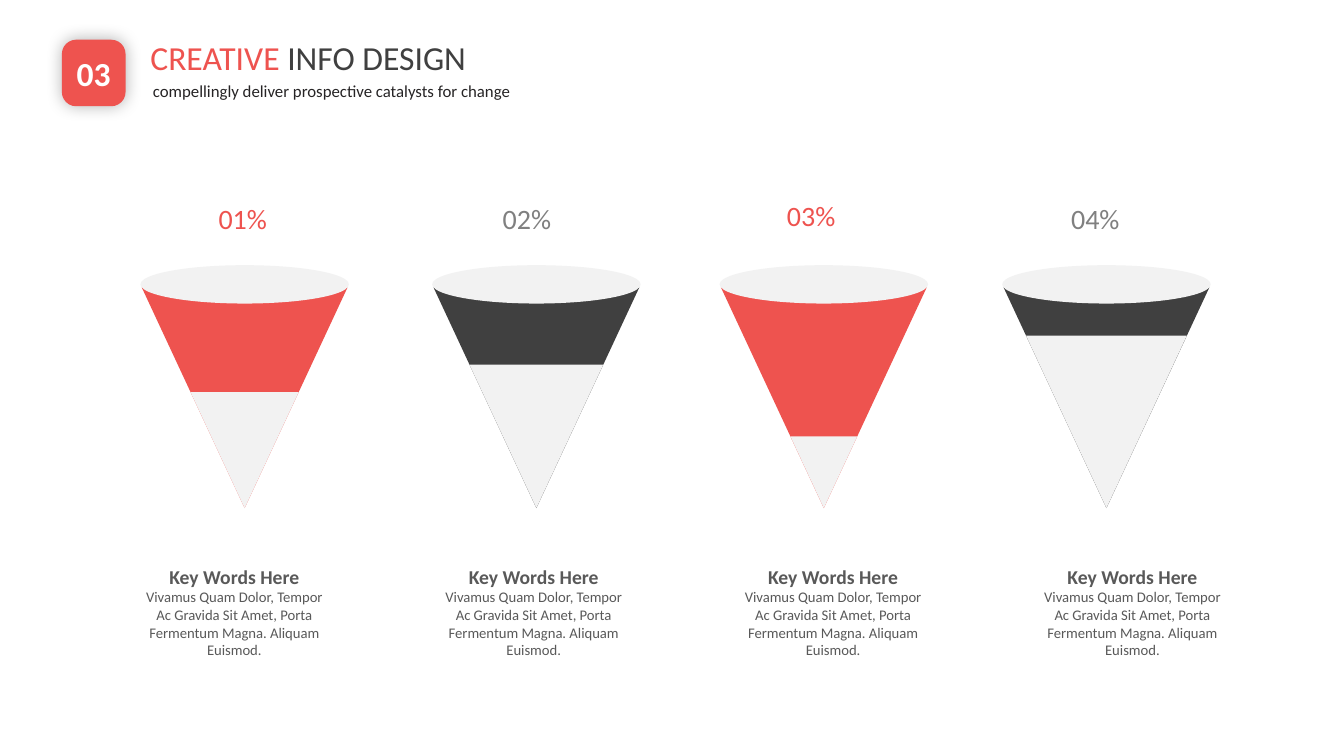
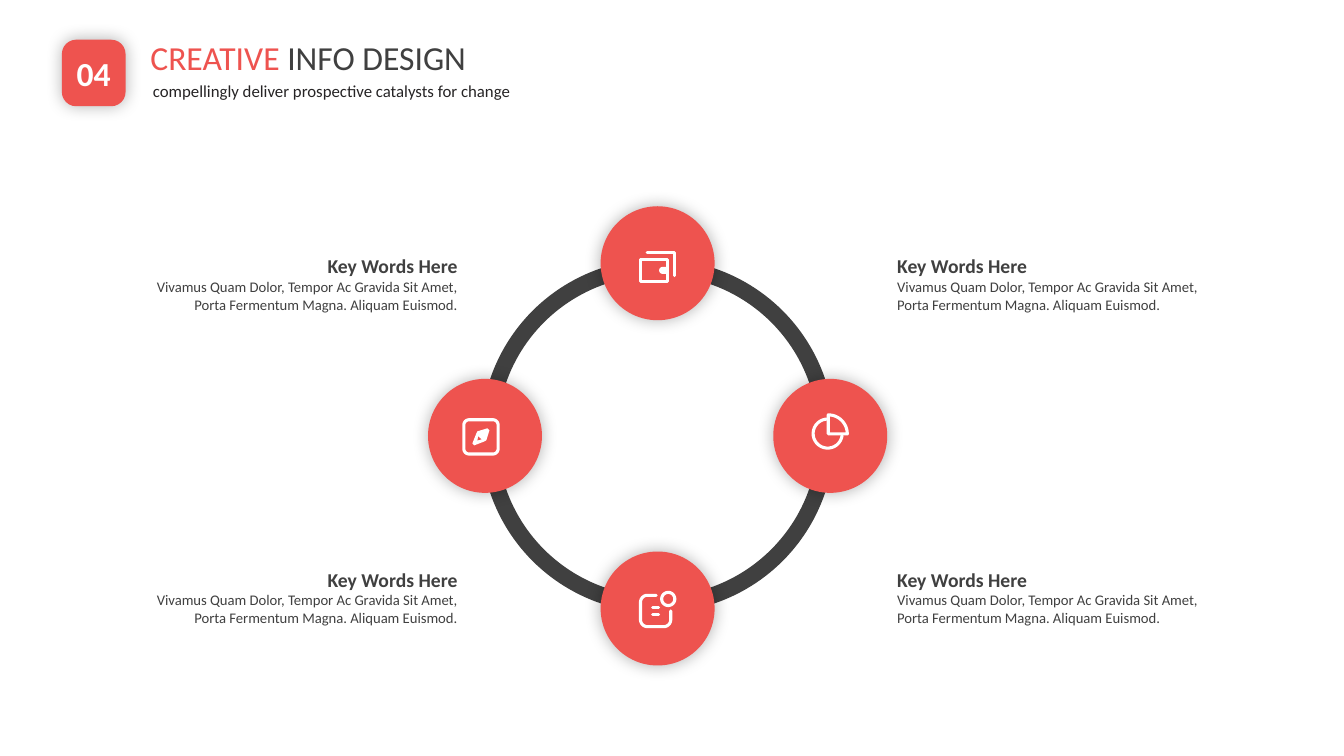
import math
import lxml.etree
import pptx
import pptx.dml.color
import pptx.enum.shapes
import pptx.enum.text
import pptx.oxml.ns
import pptx.util

SHAPE = pptx.enum.shapes.MSO_SHAPE
ALIGN = pptx.enum.text.PP_ALIGN
ANCHOR = pptx.enum.text.MSO_ANCHOR
FIT = pptx.enum.text.MSO_AUTO_SIZE


class Theme:
    """Colours, font and sizes shared by the slides."""
    red, dark, pale, white = "EE534F", "404040", "F2F2F2", "FFFFFF"
    gray, slate, ink = "808080", "595959", "262425"
    font = "Calibri"
    title, share, head, sub, body = 24, 20, 14, 12, 10.5
    stroke, blur = 2.2, 12


HEAD = "Key Words Here"
BODY = "Vivamus Quam Dolor, Tempor Ac Gravida Sit Amet, Porta Fermentum Magna. Aliquam Euismod."


# Shared helpers
def tint(code):
    return pptx.dml.color.RGBColor.from_string(code)


def points(*vals):
    return [pptx.util.Pt(val) for val in vals]


def format_all(item, vals):
    for name, val in vals.items():
        setattr(item, name, val)


def add_run(para, text, size, color, bold=False):
    run = para.add_run()
    run.text = text
    format_all(run.font, {"name": Theme.font, "size": pptx.util.Pt(size), "bold": bold})
    run.font.color.rgb = tint(color)


def add_text(slide, box, lines, align=ALIGN.LEFT, wrap=True):
    """Each line is (text, size, colour, bold, line spacing)."""
    frame = slide.shapes.add_textbox(*points(*box)).text_frame
    format_all(frame, {"word_wrap": wrap, "auto_size": FIT.SHAPE_TO_FIT_TEXT})
    for num, (text, size, color, bold, space) in enumerate(lines):
        para = frame.add_paragraph() if num else frame.paragraphs[0]
        format_all(para, {"alignment": align, "line_spacing": space})
        add_run(para, text, size, color, bold)


def add_caption(slide, box, color, align):
    lines = [(HEAD, Theme.head, color, True, 2.0), (BODY, Theme.body, color, False, 1.0)]
    add_text(slide, box, lines, align)


def paint(shape, color):
    shape.shadow.inherit = False
    shape.fill.solid()
    shape.fill.fore_color.rgb = tint(color)
    shape.line.fill.background()


def add_solid(shapes, kind, box, color):
    shape = shapes.add_shape(kind, *points(*box))
    paint(shape, color)
    return shape


def add_glow(shape):
    """Soft black shadow on every side."""
    tag = pptx.oxml.ns.qn
    effects = shape.element.spPr.find(tag("a:effectLst"))
    outer = lxml.etree.SubElement(effects, tag("a:outerShdw"), dist="0", algn="ctr",
                                  rotWithShape="0", blurRad=str(pptx.util.Pt(Theme.blur)))
    black = lxml.etree.SubElement(outer, tag("a:srgbClr"), val="000000")
    lxml.etree.SubElement(black, tag("a:alpha"), val="30000")


def trace(shapes, spots, close=True):
    first, *rest = [points(*spot) for spot in spots]
    form = shapes.build_freeform(*first, scale=1.0)
    form.add_line_segments(rest, close=close)
    return form.convert_to_shape()


# Slide header
def add_header(slide, box, number):
    left, top = box
    badge = add_solid(slide.shapes, SHAPE.ROUNDED_RECTANGLE, (left, top, 45.5, 47.5), Theme.red)
    badge.adjustments[0] = 0.224
    add_glow(badge)
    frame = badge.text_frame
    format_all(frame, {"word_wrap": False, "vertical_anchor": ANCHOR.MIDDLE})
    frame.paragraphs[0].alignment = ALIGN.CENTER
    add_run(frame.paragraphs[0], number, Theme.title, Theme.white, True)

    title = slide.shapes.title
    place = zip(("left", "top", "width", "height"), points(left + 56, top - 13, 259, 50.5))
    format_all(title, dict(place))
    frame = title.text_frame
    format_all(frame, {"word_wrap": True, "auto_size": FIT.NONE, "vertical_anchor": ANCHOR.MIDDLE})
    para = frame.paragraphs[0]
    para.alignment = ALIGN.LEFT
    add_run(para, "CREATIVE", Theme.title, Theme.red)
    add_run(para, " INFO DESIGN", Theme.title, Theme.dark)

    line = ("compellingly deliver prospective catalysts for change", Theme.sub, Theme.ink, False, 1.0)
    add_text(slide, (left + 58, top + 26, 288, 21.8), [line], ALIGN.JUSTIFY)


# Cone slide
def add_cone(slide, box, level, color):
    """Cone filled from its rim down to level, a depth below the top edge."""
    left, top, width, height = box
    mid, tip, edge = left + width / 2, top + height, top + 15.8
    half = width / 2 - 0.9
    shapes = slide.shapes.add_group_shape().shapes

    def wedge(line, shade):
        reach = half * (tip - line) / (tip - edge)
        paint(trace(shapes, [(mid - reach, line), (mid + reach, line), (mid, tip)]), shade)

    wedge(edge, color)
    add_solid(shapes, SHAPE.OVAL, (left, top, width, 27.4), Theme.pale)
    wedge(top + level, Theme.pale)


def fill_cones(slide, box):
    left, top = box
    # Cone left edge, fill depth, label top
    cones = [(100.3, 90.6, 140.4), (308.7, 71.1, 140.4), (514, 122.3, 138.2), (715.9, 50.3, 140.4)]
    for num, (edge, level, high) in enumerate(cones):
        fill, label = [(Theme.red, Theme.red), (Theme.dark, Theme.gray)][num % 2]
        add_cone(slide, (edge, top, 148.9, 173.5), level, fill)
        text = (f"0{num + 1}%", Theme.share, label, False, 1.0)
        add_text(slide, (left + 55.4 + 203 * num, high, 54, 31.7), [text], wrap=False)
        box = (left + 213.84 * num, top + 193.6, 147.6, 92.2)
        add_caption(slide, box, Theme.slate, ALIGN.CENTER)


# Icons, drawn around the middle of a node
def arc(x, y, radius, start, end):
    turns = [math.radians(start + (end - start) * step / 24) for step in range(25)]
    return [(x + radius * math.cos(turn), y + radius * math.sin(turn)) for turn in turns]


def round_box(left, top, right, low, radius):
    """Corners from top left, counter-clockwise."""
    west, east, north, south = left + radius, right - radius, top + radius, low - radius
    spots = [(west, north), (west, south), (east, south), (east, north)]
    return [arc(x, y, radius, 270 - 90 * num, 180 - 90 * num) for num, (x, y) in enumerate(spots)]


NOTE = round_box(-12.2, -9.4, 9.4, 13, 5)
# Each part is (points, style): a closed or open line, or a solid colour
WALLET = [
    ([(-12.2, -2.9), (7.2, -2.9), (7.2, 13), (-12.2, 13)], "closed"),
    ([(-7.5, -7.9), (12.2, -7.9), (12.2, 8.8)], "open"),
    (arc(3.6, 5.1, 2.5, 90, 270) + [(7, 2.6), (7, 7.6)], Theme.white),
]
PIE = [
    (arc(-1.8, -1.6, 10.4, 8, 270), "open"),
    ([(-1.4, -1.4)] + arc(-1.4, -1.4, 13.6, 270, 360), "closed"),
]
MEMO = [
    ([(-1, -9.4)] + sum(NOTE[:3], []) + [(9.4, 1.8)], "open"),
    (arc(7.6, -6.8, 4.7, 0, 360), "closed"),
    ([(-3.6, -0.7), (0.7, -0.7)], "open"),
    ([(-3.6, 4.3), (0.7, 4.3)], "open"),
]
COMPASS = [
    (sum(round_box(-15.1, -11.5, 9.4, 13, 3.8), []), "closed"),
    ([(1.8, -5.4), (3.2, -4), (1, 3.2), (-0.4, 4), (-7.6, 6.8), (-9, 5.4),
      (-6.1, -1.8), (-5.4, -3.2)], Theme.white),
    ([(-5.4, 3.2), (-4.7, 0.4), (-2.5, 2.5)], Theme.red),
]


def add_icon(slide, mid, parts):
    shapes = slide.shapes.add_group_shape().shapes
    for spots, style in parts:
        moved = [(mid[0] + x, mid[1] + y) for x, y in spots]
        shape = trace(shapes, moved, close=style != "open")
        if style not in ("open", "closed"):
            paint(shape, style)
            continue
        shape.shadow.inherit = False
        shape.fill.background()
        shape.line.color.rgb = tint(Theme.white)
        shape.line.width = pptx.util.Pt(Theme.stroke)
        shape.element.spPr.find(pptx.oxml.ns.qn("a:ln")).set("cap", "rnd")


# Ring slide
def fill_ring(slide, box):
    left, top, size = box
    x, y = left + size / 2, top + size / 2
    ring = add_solid(slide.shapes, SHAPE.DONUT, (left, top, size, size), Theme.dark)
    ring.adjustments[0] = 0.046

    # Nodes, clockwise from the top
    wide, reach = 81.4, 123.3
    for num, parts in enumerate([WALLET, PIE, MEMO, COMPASS]):
        turn = math.radians(90 * num - 90)
        mid = x + reach * math.cos(turn), y + reach * math.sin(turn)
        spot = (mid[0] - wide / 2, mid[1] - wide / 2, wide, wide)
        add_glow(add_solid(slide.shapes, SHAPE.OVAL, spot, Theme.red))
        add_icon(slide, mid, parts)

    # Captions on both sides
    for edge, align in [(x + 164, ALIGN.LEFT), (x - 374.8, ALIGN.RIGHT)]:
        for high in (y - 150.1, y + 73.8):
            add_caption(slide, (edge, high, 239, 67), Theme.dark, align)


def main():
    deck = pptx.Presentation()
    deck.slide_width, deck.slide_height = points(960, 540)
    pages = [("03", fill_cones, (93.6, 189.4)), ("04", fill_ring, (343.4, 185, 252.7))]
    for number, fill, box in pages:
        slide = deck.slides.add_slide(deck.slide_layouts[5])
        fill(slide, box)
        add_header(slide, (44.2, 28.4), number)
    deck.save("out.pptx")


if __name__ == "__main__":
    main()
